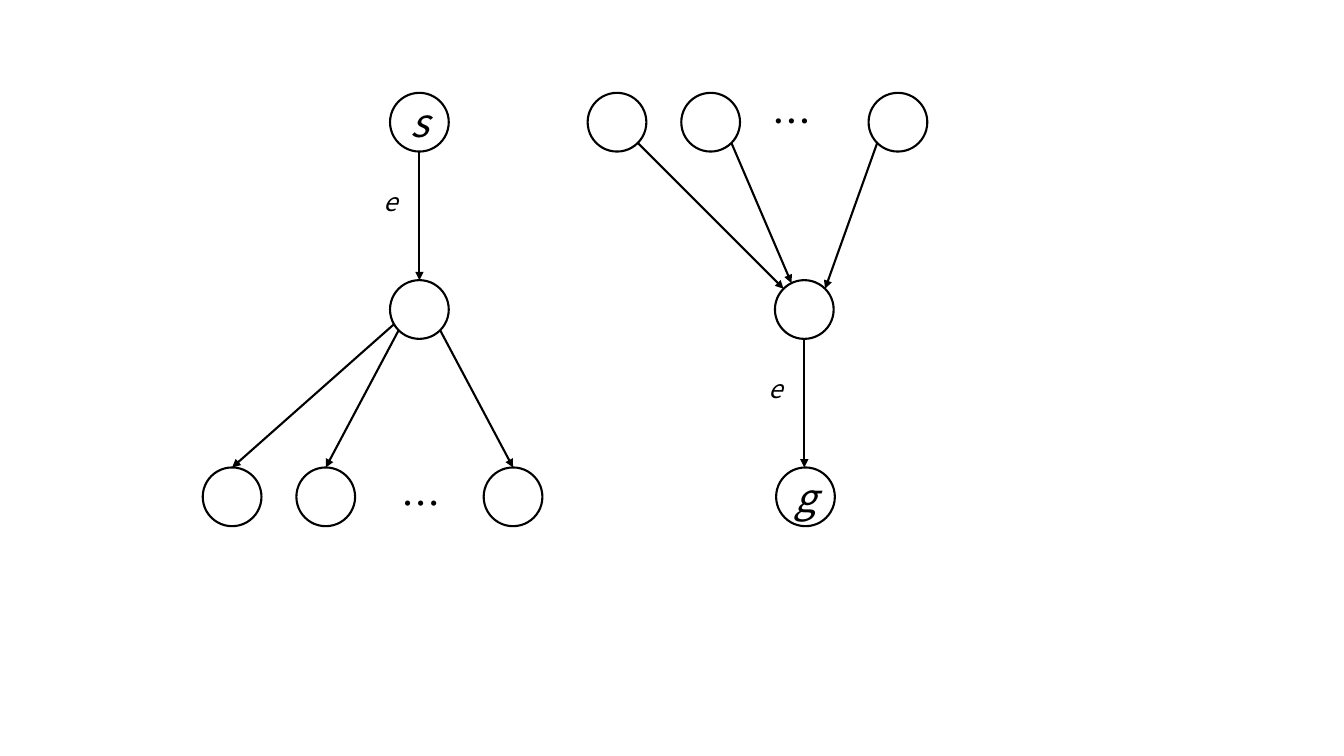
from math import cos, radians, sin

from lxml import etree
from pptx import Presentation
from pptx.dml.color import RGBColor
from pptx.enum.shapes import MSO_CONNECTOR, MSO_SHAPE
from pptx.enum.text import MSO_ANCHOR, PP_ALIGN
from pptx.oxml.ns import qn
from pptx.util import Cm, Pt

BLACK = RGBColor(0, 0, 0)
FONT = "Noto Sans CJK JP"
OVAL = MSO_SHAPE.OVAL
STRAIGHT = MSO_CONNECTOR.STRAIGHT
MIDDLE = MSO_ANCHOR.MIDDLE
CENTER, LEFT = PP_ALIGN.CENTER, PP_ALIGN.LEFT

# Grid of node centres, in centimetres
DIAMETER = 1.48
COLUMN_STEP = 2.36
LEFT_TREE = [5.85 + COLUMN_STEP * i for i in range(4)]
RIGHT_TREE = [15.55 + COLUMN_STEP * i for i in range(4)]
TOP, CENTRE, BOTTOM = [3.08 + 4.72 * i for i in range(3)]
START, GOAL = LEFT_TREE[2], RIGHT_TREE[2]


def edge_point(x, y, angle):
    """Point on a node's rim; angles run clockwise from the right."""
    radius = DIAMETER / 2
    return (Cm(x + radius * cos(radians(angle))),
            Cm(y + radius * sin(radians(angle))))


def write(shape, text, size, italic, alignment):
    paragraph = shape.text_frame.paragraphs[0]
    paragraph.alignment = alignment
    run = paragraph.add_run()
    run.text = text
    run.font.name = FONT
    run.font.size = Pt(size)
    run.font.italic = italic
    run.font.color.rgb = BLACK


presentation = Presentation()
presentation.slide_width = Cm(33.87)
presentation.slide_height = Cm(19.05)
slide = presentation.slides.add_slide(presentation.slide_layouts[6])

# Nodes: centre and label
nodes = [(START, TOP, "s"), (START, CENTRE, ""),
         (GOAL, CENTRE, ""), (GOAL + 0.03, BOTTOM, "g")]
for i in (0, 1, 3):
    nodes += [(LEFT_TREE[i], BOTTOM, ""), (RIGHT_TREE[i], TOP, "")]
for x, y, label in nodes:
    node = slide.shapes.add_shape(OVAL, Cm(x - DIAMETER / 2), Cm(y - DIAMETER / 2),
                                  Cm(DIAMETER), Cm(DIAMETER))
    node.shadow.inherit = False
    node.fill.background()
    node.line.color.rgb = BLACK
    node.line.width = Pt(1.5)
    if label:
        node.text_frame.vertical_anchor = MIDDLE
        write(node, label, 28, True, CENTER)

# Arrows: centre and rim angle of the node at each end
arrows = [
    (START, TOP, 90, START, CENTRE, -90),
    (START, CENTRE, 150, LEFT_TREE[0], BOTTOM, -90),
    (START, CENTRE, 135, LEFT_TREE[1], BOTTOM, -90),
    (START, CENTRE, 45, LEFT_TREE[3], BOTTOM, -90),
    (RIGHT_TREE[0], TOP, 45, GOAL, CENTRE, -135),
    (RIGHT_TREE[1], TOP, 45, GOAL, CENTRE, -116),
    (RIGHT_TREE[3], TOP, 135, GOAL, CENTRE, -45),
    (GOAL, CENTRE, 90, GOAL, BOTTOM, -90),
]
for x1, y1, angle1, x2, y2, angle2 in arrows:
    arrow = slide.shapes.add_connector(STRAIGHT, *edge_point(x1, y1, angle1),
                                       *edge_point(x2, y2, angle2))
    arrow.line.color.rgb = BLACK
    arrow.line.width = Pt(1.5)
    etree.SubElement(arrow.line._get_or_add_ln(), qn("a:tailEnd"), type="triangle")
    etree.SubElement(arrow._element.spPr, qn("a:effectLst"))

# Edge labels and ellipses: left, top, width, height, rotation
texts = [
    ("e", 18, True, LEFT, START - 1.15, TOP + 1.49, 2.29, 1.02, 0),
    ("e", 18, True, LEFT, GOAL - 1.15, CENTRE + 1.49, 2.29, 1.02, 0),
    ("…", 28, False, CENTER, 9.88, 11.96, 1.3, 1.45, 0),
    ("…", 28, False, CENTER, 19.41, 2.34, 1.3, 1.45, 180),
]
for text, size, italic, alignment, left, top, width, height, rotation in texts:
    box = slide.shapes.add_textbox(Cm(left), Cm(top), Cm(width), Cm(height))
    box.rotation = rotation
    box.text_frame.word_wrap = True
    write(box, text, size, italic, alignment)

presentation.save("out.pptx")
